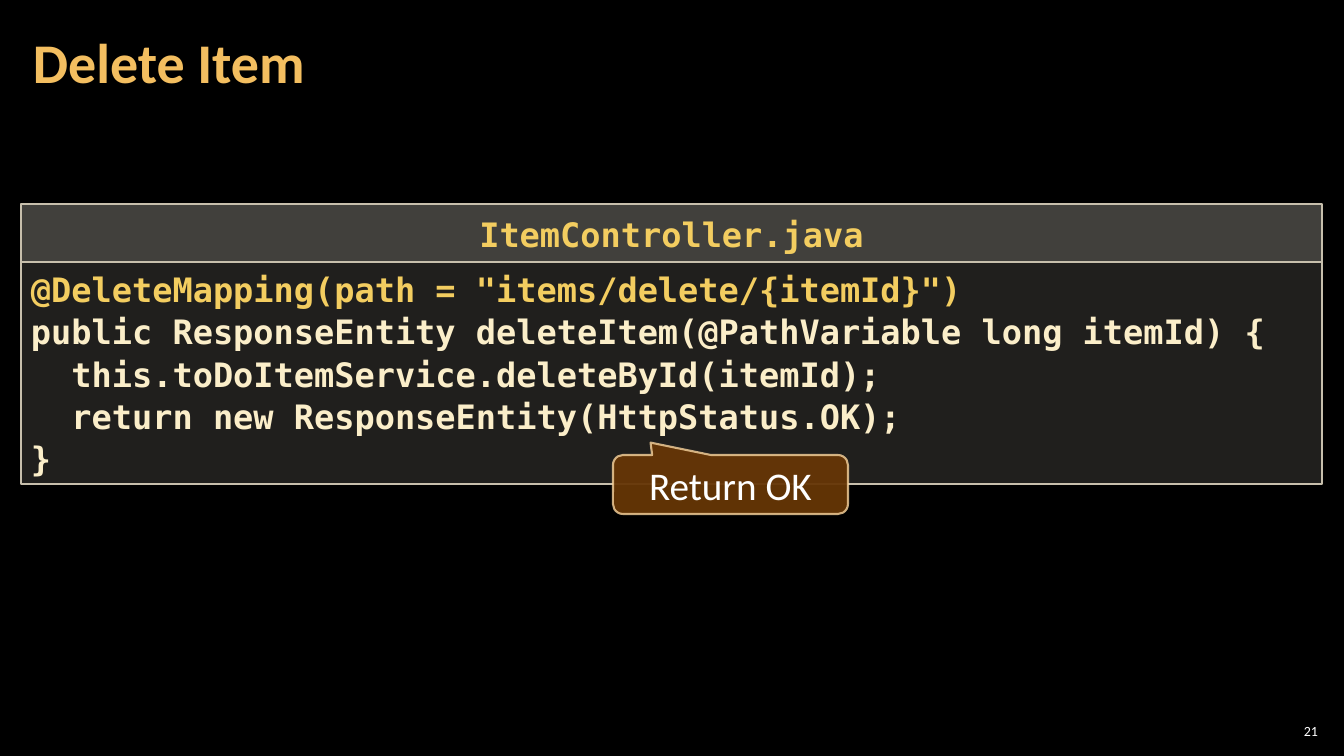
from dataclasses import dataclass

from lxml.etree import SubElement
from pptx import Presentation
from pptx.dml.color import RGBColor
from pptx.enum.shapes import MSO_SHAPE as Preset
from pptx.enum.text import MSO_ANCHOR as Anchor, MSO_AUTO_SIZE as AutoSize, PP_ALIGN as Align
from pptx.oxml.ns import qn
from pptx.util import Emu, Pt

SLIDE_WIDTH, SLIDE_HEIGHT = 1344, 756
EMU_PER_PX = 12192000 / SLIDE_WIDTH

BLACK = RGBColor(0x00, 0x00, 0x00)
WHITE = RGBColor(0xFF, 0xFF, 0xFF)
TITLE_GOLD = RGBColor(0xF3, 0xBE, 0x60)
CODE_GOLD = RGBColor(0xF3, 0xCD, 0x60)
CODE_CREAM = RGBColor(0xFB, 0xEE, 0xC9)
PANEL_FILL = RGBColor(0xD9, 0xD5, 0xC7)
PANEL_LINE = RGBColor(0xC7, 0xBF, 0xAC)
CALLOUT_FILL = RGBColor(0x66, 0x36, 0x06)
CALLOUT_LINE = RGBColor(0xF8, 0xD4, 0x9E)

BODY_FONT = "Calibri"
CODE_FONT = "DejaVu Sans Mono"

CODE_LINES = [
    '@DeleteMapping(path = "items/delete/{itemId}")',
    "public ResponseEntity deleteItem(@PathVariable long itemId) {",
    "  this.toDoItemService.deleteById(itemId);",
    "  return new ResponseEntity(HttpStatus.OK);",
    "}",
]


@dataclass(frozen=True)
class Box:
    left: int
    top: int
    width: int
    height: int


@dataclass(frozen=True)
class Panel:
    box: Box
    fill: RGBColor
    fill_opacity: int
    line: RGBColor
    line_width: float = 1
    line_opacity: int = 100
    preset: Preset = Preset.RECTANGLE
    adjustments: tuple[float, ...] = ()


def px(length: int) -> Emu:
    return Emu(round(length * EMU_PER_PX))


def place(shape, box: Box) -> None:
    shape.left, shape.top = px(box.left), px(box.top)
    shape.width, shape.height = px(box.width), px(box.height)


def set_opacity(color_parent, percent: int) -> None:
    color = color_parent.find(qn("a:solidFill"))[0]
    SubElement(color, qn("a:alpha"), val=str(percent * 1000))


def write_text(shape, lines: list[str], *, colors: list[RGBColor], size: int,
               font: str = BODY_FONT, bold: bool = False, align: Align = Align.LEFT,
               anchor: Anchor = Anchor.MIDDLE, spacing: float = 1.0,
               inset_x: int = 10, inset_y: int = 5) -> None:
    frame = shape.text_frame
    frame.word_wrap = True
    frame.auto_size = AutoSize.NONE
    frame.vertical_anchor = anchor
    frame.margin_left = frame.margin_right = px(inset_x)
    frame.margin_top = frame.margin_bottom = px(inset_y)
    for index, line in enumerate(lines):
        paragraph = frame.add_paragraph() if index else frame.paragraphs[0]
        paragraph.alignment = align
        paragraph.line_spacing = spacing
        run = paragraph.add_run()
        run.text = line
        run.font.name, run.font.size, run.font.bold = font, Pt(size), bold
        run.font.color.rgb = colors[min(index, len(colors) - 1)]


def add_panel(slide, panel: Panel):
    shape = slide.shapes.add_shape(panel.preset, 0, 0, 0, 0)
    place(shape, panel.box)
    shape.shadow.inherit = False
    for index, value in enumerate(panel.adjustments):
        shape.adjustments[index] = value
    shape.fill.solid()
    shape.fill.fore_color.rgb = panel.fill
    set_opacity(shape.element.spPr, panel.fill_opacity)
    shape.line.color.rgb = panel.line
    shape.line.width = Pt(panel.line_width)
    set_opacity(shape.element.spPr.find(qn("a:ln")), panel.line_opacity)
    return shape


def main() -> None:
    presentation = Presentation()
    presentation.slide_width, presentation.slide_height = px(SLIDE_WIDTH), px(SLIDE_HEIGHT)
    slide = presentation.slides.add_slide(presentation.slide_layouts.get_by_name("Title Only"))
    slide.background.fill.solid()
    slide.background.fill.fore_color.rgb = BLACK

    # Slide number
    number = slide.shapes.add_textbox(0, 0, 0, 0)
    place(number, Box(1275, 720, 47, 21))
    write_text(number, ["21"], colors=[WHITE], size=10, align=Align.RIGHT, inset_x=4, inset_y=4)

    # Title
    title = slide.shapes.title
    place(title, Box(21, 4, 1055, 122))
    write_text(title, ["Delete Item"], colors=[TITLE_GOLD], size=40, bold=True,
               spacing=0.9, inset_x=12, inset_y=4)

    # Code listing under its file name
    code = add_panel(slide, Panel(Box(21, 262, 1301, 222), PANEL_FILL, 15, PANEL_LINE))
    write_text(code, CODE_LINES, colors=[CODE_GOLD, CODE_CREAM], size=24, font=CODE_FONT,
               bold=True, anchor=Anchor.TOP, spacing=1.05)
    header = add_panel(slide, Panel(Box(21, 204, 1301, 58), PANEL_FILL, 30, PANEL_LINE))
    write_text(header, ["ItemController.java"], colors=[CODE_GOLD], size=24, font=CODE_FONT,
               bold=True, align=Align.CENTER, anchor=Anchor.TOP, spacing=1.05, inset_y=8)

    # Callout pointing at the returned status
    callout = add_panel(slide, Panel(
        Box(613, 455, 235, 59), CALLOUT_FILL, 95, CALLOUT_LINE, 1.5, 80,
        Preset.ROUNDED_RECTANGULAR_CALLOUT, (-0.34, -0.71, 0.17)))
    write_text(callout, ["Return OK"], colors=[WHITE], size=28, align=Align.CENTER)

    presentation.save("out.pptx")


if __name__ == "__main__":
    main()
